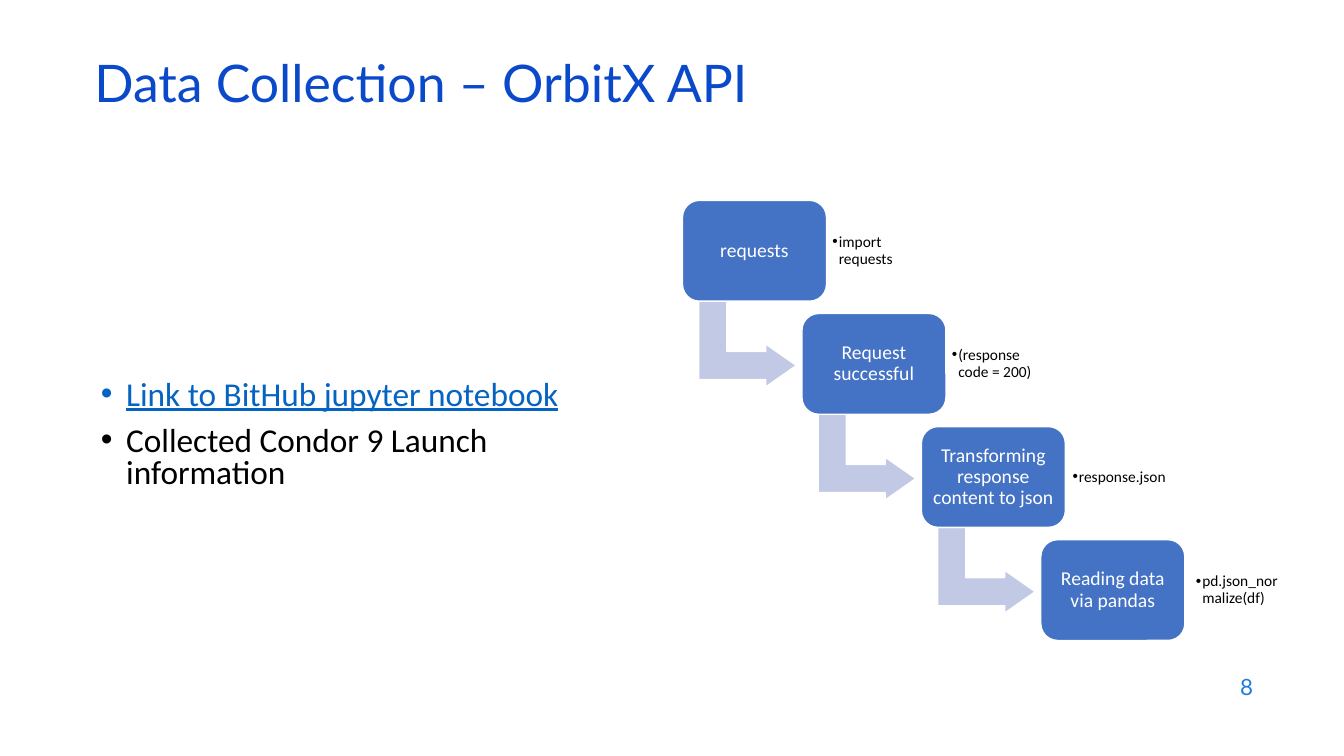
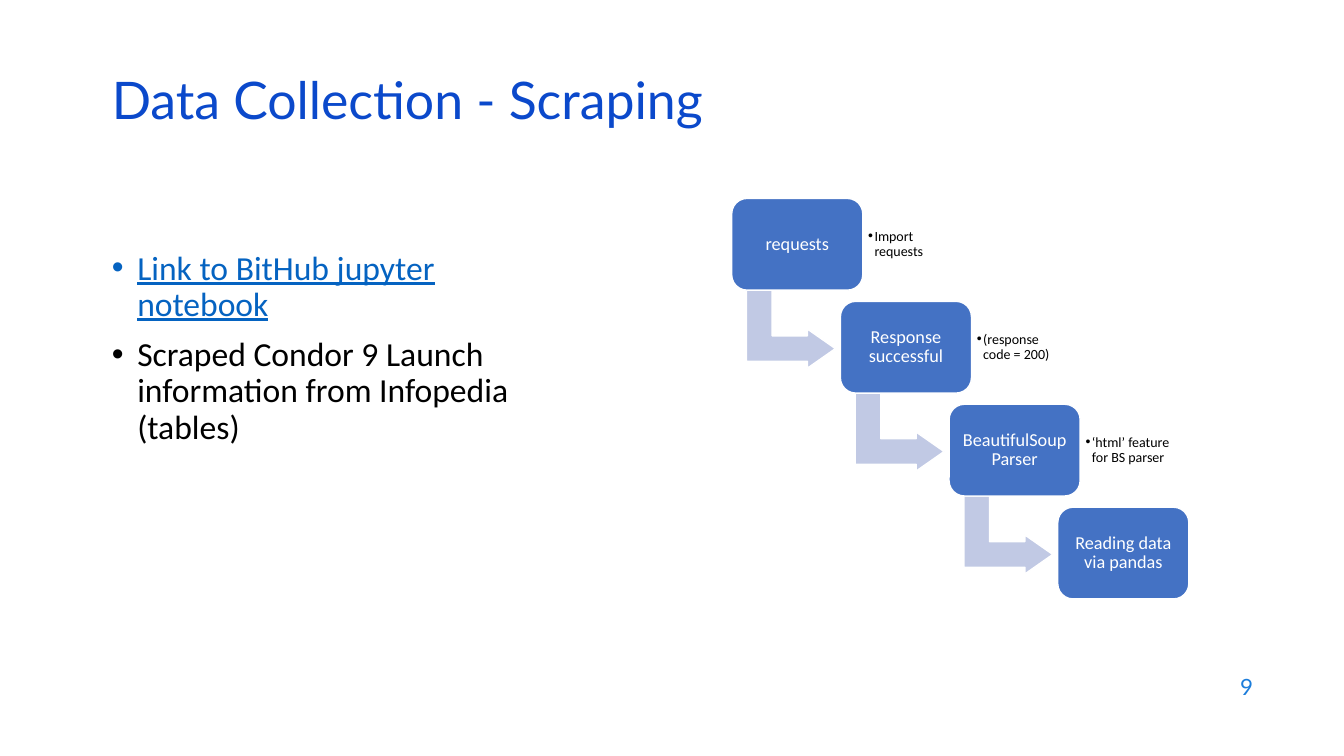
from lxml import etree
from pptx import Presentation
from pptx import util as u
from pptx.dml.color import RGBColor
from pptx.enum import shapes, text
from pptx.oxml import ns

TITLE_BLUE = RGBColor(0x0B, 0x49, 0xCB)
NUMBER_BLUE = RGBColor(0x1C, 0x7D, 0xDB)
LINK_BLUE = RGBColor(0x05, 0x63, 0xC1)
STEP_BLUE = RGBColor(0x44, 0x72, 0xC4)
ARROW_BLUE = RGBColor(0xC1, 0xC9, 0xE4)
BLACK = RGBColor(0, 0, 0)
WHITE = RGBColor(0xFF, 0xFF, 0xFF)
HEAD_FONT = "Lato"
BODY_FONT = "Calibri"

STEP_W, STEP_H = 3.63, 2.54
SHIFT_X, SHIFT_Y = 3.01, 2.85
ARROW_X, ARROW_Y, ARROW_W, ARROW_H = 0.56, 2.39, 2.16, 2.46
NOTE_W, NOTE_H = 2.64, 2.06
STEP_INSET = 0.15


def add_box(page, left, top, width, height, anchor=text.MSO_ANCHOR.MIDDLE):
    """Add a wrapping text box and return its text frame."""
    box = page.shapes.add_textbox(u.Cm(left), u.Cm(top), u.Cm(width), u.Cm(height))
    frame = box.text_frame
    frame.word_wrap = True
    frame.vertical_anchor = anchor
    return frame


def set_insets(frame, inset):
    """Give all four sides of a text frame the same inset."""
    frame.margin_left = frame.margin_right = u.Cm(inset)
    frame.margin_top = frame.margin_bottom = u.Cm(inset)


def add_span(para, words, size, font, color, spacing=1.0):
    """Add one styled run to a paragraph with the given line spacing."""
    para.line_spacing = spacing
    span = para.add_run()
    span.text = words
    span.font.size = u.Pt(size)
    span.font.name = font
    span.font.color.rgb = color
    return span


def add_bullet(para, indent):
    """Give a paragraph a hanging round bullet."""
    props = para._p.get_or_add_pPr()
    props.set("marL", str(u.Cm(indent)))
    props.set("indent", str(-u.Cm(indent)))
    font = etree.SubElement(props, ns.qn("a:buFont"))
    font.set("typeface", "Arial")
    etree.SubElement(props, ns.qn("a:buChar")).set("char", "•")


def add_title(page, left, top, words):
    """Place the slide title."""
    para = add_box(page, left, top, 29.21, 1.52).paragraphs[0]
    add_span(para, words, 37, HEAD_FONT, TITLE_BLUE, 0.7)


def add_number(page, number):
    """Place the slide number at the lower right."""
    para = add_box(page, 24.21, 16.74, 7.62, 1.12).paragraphs[0]
    para.alignment = text.PP_ALIGN.RIGHT
    add_span(para, str(number), 16, HEAD_FONT, NUMBER_BLUE)


def add_body(page, left, top, width, height, size, spacing, lines):
    """Place the bulleted text, with the first line styled as a link."""
    frame = add_box(page, left, top, width, height, text.MSO_ANCHOR.TOP)
    for index, words in enumerate(lines):
        para = frame.add_paragraph() if index else frame.paragraphs[0]
        add_bullet(para, 0.64)
        if index:
            para.space_before = u.Pt(10)
        color = BLACK if index else LINK_BLUE
        span = add_span(para, words, size, BODY_FONT, color, spacing)
        span.font.underline = index == 0


def add_outline(page, kind, left, top, width, height, fill, adjustments):
    """Add a filled preset shape with a thin white line."""
    shape = page.shapes.add_shape(
        kind, u.Cm(left), u.Cm(top), u.Cm(width), u.Cm(height))
    shape.shadow.inherit = False
    shape.fill.solid()
    shape.fill.fore_color.rgb = fill
    shape.line.color.rgb = WHITE
    shape.line.width = u.Pt(1)
    for index, value in enumerate(adjustments):
        shape.adjustments[index] = value
    return shape


def add_step(page, left, top, scale, size, label):
    """Draw one rounded step with its label."""
    shape = add_outline(page, shapes.MSO_SHAPE.ROUNDED_RECTANGLE, left, top,
                        STEP_W * scale, STEP_H * scale, STEP_BLUE, [0.167])
    frame = shape.text_frame
    frame.word_wrap = True
    frame.vertical_anchor = text.MSO_ANCHOR.MIDDLE
    set_insets(frame, STEP_INSET * scale)
    para = frame.paragraphs[0]
    para.alignment = text.PP_ALIGN.CENTER
    add_span(para, label, size, BODY_FONT, WHITE, 0.9)


def add_note(page, left, top, width, scale, size, words):
    """Place the bulleted note beside a step."""
    frame = add_box(page, left, top, width * scale, NOTE_H * scale)
    set_insets(frame, STEP_INSET * scale)
    para = frame.paragraphs[0]
    add_bullet(para, 0.16)
    add_span(para, words, size, BODY_FONT, BLACK, 0.9)


def add_flow(page, left, top, scale, label_size, note_size, steps):
    """Draw a descending staircase of steps, arrows and notes."""
    for index, (label, note, gap, note_width) in enumerate(steps):
        x = left + index * SHIFT_X * scale
        y = top + index * SHIFT_Y * scale
        if index < len(steps) - 1:
            arrow = add_outline(
                page, shapes.MSO_SHAPE.BENT_UP_ARROW,
                x + ARROW_X * scale, y + ARROW_Y * scale,
                ARROW_W * scale, ARROW_H * scale,
                ARROW_BLUE, [0.328, 0.25, 0.358])
            arrow.rotation = 90
        add_step(page, x, y, scale, label_size, label)
        if note:
            add_note(page, x + STEP_W * scale + gap,
                     y + (STEP_H - NOTE_H) / 2 * scale,
                     note_width, scale, note_size, note)


def add_api_slide(page):
    """Build the slide on collecting data through the interface."""
    add_number(page, 8)
    add_title(page, 2.13, 1.5, "Data Collection – OrbitX API")
    add_body(page, 2.29, 9.47, 12.34, 3.3, 23.8, 0.8, [
        "Link to BitHub jupyter notebook",
        "Collected Condor 9 Launch information",
    ])
    add_flow(page, 17.2, 5.05, 1, 14, 11, [
        ("requests", "import requests", 0, NOTE_W),
        ("Request successful", "(response code = 200)", 0, NOTE_W),
        ("Transforming response content to json", "response.json", 0.03, 3.76),
        ("Reading data via pandas", "pd.json_normalize(df)", 0.13, 2.39),
    ])


def add_scraping_slide(page):
    """Build the slide on collecting data by scraping."""
    add_number(page, 9)
    add_title(page, 2.57, 1.93, "Data Collection - Scraping")
    add_body(page, 2.57, 6.2, 10.92, 9.3, 24, 0.9, [
        "Link to BitHub jupyter notebook",
        "Scraped Condor 9 Launch information from Infopedia (tables)",
    ])
    add_flow(page, 18.44, 5, 0.91, 13, 10, [
        ("requests", "Import requests", 0, NOTE_W),
        ("Response successful", "(response code = 200)", 0, NOTE_W),
        ("BeautifulSoup Parser", "‘html’ feature for BS parser", 0, NOTE_W),
        ("Reading data via pandas", None, 0, NOTE_W),
    ])


def main():
    """Build and save the deck."""
    deck = Presentation()
    deck.slide_width = u.Cm(33.87)
    deck.slide_height = u.Cm(19.05)
    for build in (add_api_slide, add_scraping_slide):
        build(deck.slides.add_slide(deck.slide_layouts[6]))
    deck.save("out.pptx")


if __name__ == "__main__":
    main()
